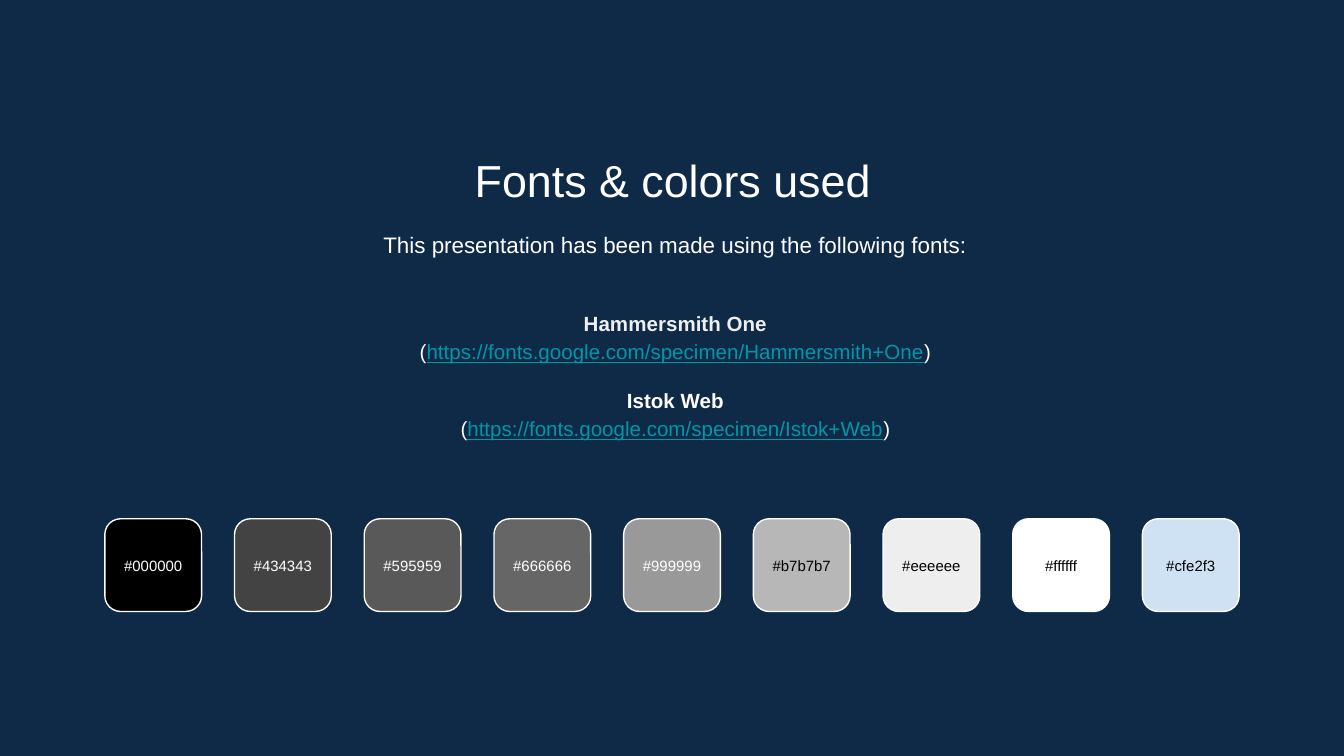
from pptx import Presentation
from pptx.dml.color import RGBColor
from pptx.enum.shapes import MSO_SHAPE
from pptx.enum.text import MSO_ANCHOR, PP_ALIGN
from pptx.util import Inches, Pt

ROUNDED = MSO_SHAPE.ROUNDED_RECTANGLE
CENTER = PP_ALIGN.CENTER
TOP, MIDDLE = MSO_ANCHOR.TOP, MSO_ANCHOR.MIDDLE

FONT = "Arial"
NAVY, WHITE, BLACK = "0E2A47", "FFFFFF", "000000"
PALE, TEAL = "EFEFEF", "0097A7"

# Swatch row: nine equal columns
SWATCHES = ["000000", "434343", "595959", "666666", "999999",
            "b7b7b7", "eeeeee", "ffffff", "cfe2f3"]
ROW_LEFT, ROW_RIGHT, ROW_TOP = 0.78, 9.22, 3.86
SWATCH_W, SWATCH_H, LABEL_H = 0.72, 0.69, 0.4
PITCH = (ROW_RIGHT - ROW_LEFT - SWATCH_W) / (len(SWATCHES) - 1)
FIRST_DARK_LABEL = SWATCHES.index("b7b7b7")

# Text column
COLUMN_W = 7.71
FONTS_USED = [
    ("Hammersmith One", PALE, "https://fonts.google.com/specimen/Hammersmith+One"),
    ("Istok Web", WHITE, "https://fonts.google.com/specimen/Istok+Web"),
]


def rgb(value):
    return RGBColor.from_string(value.upper())


def add_run(p, text, size, color, bold=False, underline=False):
    r = p.add_run()
    r.text = text
    font = r.font
    font.name, font.size = FONT, Pt(size)
    font.bold, font.underline = bold, underline
    font.color.rgb = rgb(color)


def add_box(slide, left, top, width, height, anchor=TOP):
    tf = slide.shapes.add_textbox(*map(Inches, (left, top, width, height))).text_frame
    tf.word_wrap = True
    tf.vertical_anchor = anchor
    tf.margin_left = tf.margin_right = tf.margin_top = tf.margin_bottom = Inches(0.1)
    return tf


def add_line(tf, runs, spacing=1.0, before=0):
    """Add a centred paragraph; each run is (text, size, color, bold, underline)."""
    first = tf.paragraphs[0]
    p = tf.add_paragraph() if first.runs else first
    p.alignment = CENTER
    p.line_spacing = spacing
    if before:
        p.space_before = Pt(before)
    for run in runs:
        add_run(p, *run)


def add_font_list(slide):
    tf = add_box(slide, 1.17, 2.1, COLUMN_W, 1.37, MIDDLE)
    for i, (name, color, url) in enumerate(FONTS_USED):
        add_line(tf, [(name, 11, color, True)], 1.15, before=11 * i)
        add_line(tf, [("(", 11, WHITE), (url, 11, TEAL, False, True),
                      (")", 11, WHITE)], 1.15)


def add_swatch(slide, column, color):
    left = ROW_LEFT + column * PITCH
    sp = slide.shapes.add_shape(
        ROUNDED, *map(Inches, (left, ROW_TOP, SWATCH_W, SWATCH_H)))
    sp.shadow.inherit = False
    sp.adjustments[0] = 0.17
    sp.fill.solid()
    sp.fill.fore_color.rgb = rgb(color)
    sp.line.color.rgb = rgb(WHITE)
    sp.line.width = Pt(0.75)

    label_top = ROW_TOP + (SWATCH_H - LABEL_H) / 2
    tf = add_box(slide, left, label_top, SWATCH_W, LABEL_H, MIDDLE)
    label_color = WHITE if column < FIRST_DARK_LABEL else BLACK
    add_line(tf, [("#" + color, 8, label_color)])


def main():
    prs = Presentation()
    prs.slide_width = Inches(10)
    prs.slide_height = prs.slide_width * 9 // 16
    slide = prs.slides.add_slide(prs.slide_layouts[6])
    slide.background.fill.solid()
    slide.background.fill.fore_color.rgb = rgb(NAVY)

    # Heading and introduction
    add_line(add_box(slide, 1.15, 1.04, COLUMN_W, 0.53),
             [("Fonts & colors used", 24, WHITE)])
    add_line(add_box(slide, 1.17, 1.59, COLUMN_W, 0.48),
             [("This presentation has been made using the following fonts:",
               12, WHITE)], 1.15)

    # Font names with their addresses
    add_font_list(slide)

    # Colour swatches
    for column, color in enumerate(SWATCHES):
        add_swatch(slide, column, color)

    prs.save("out.pptx")


if __name__ == "__main__":
    main()
